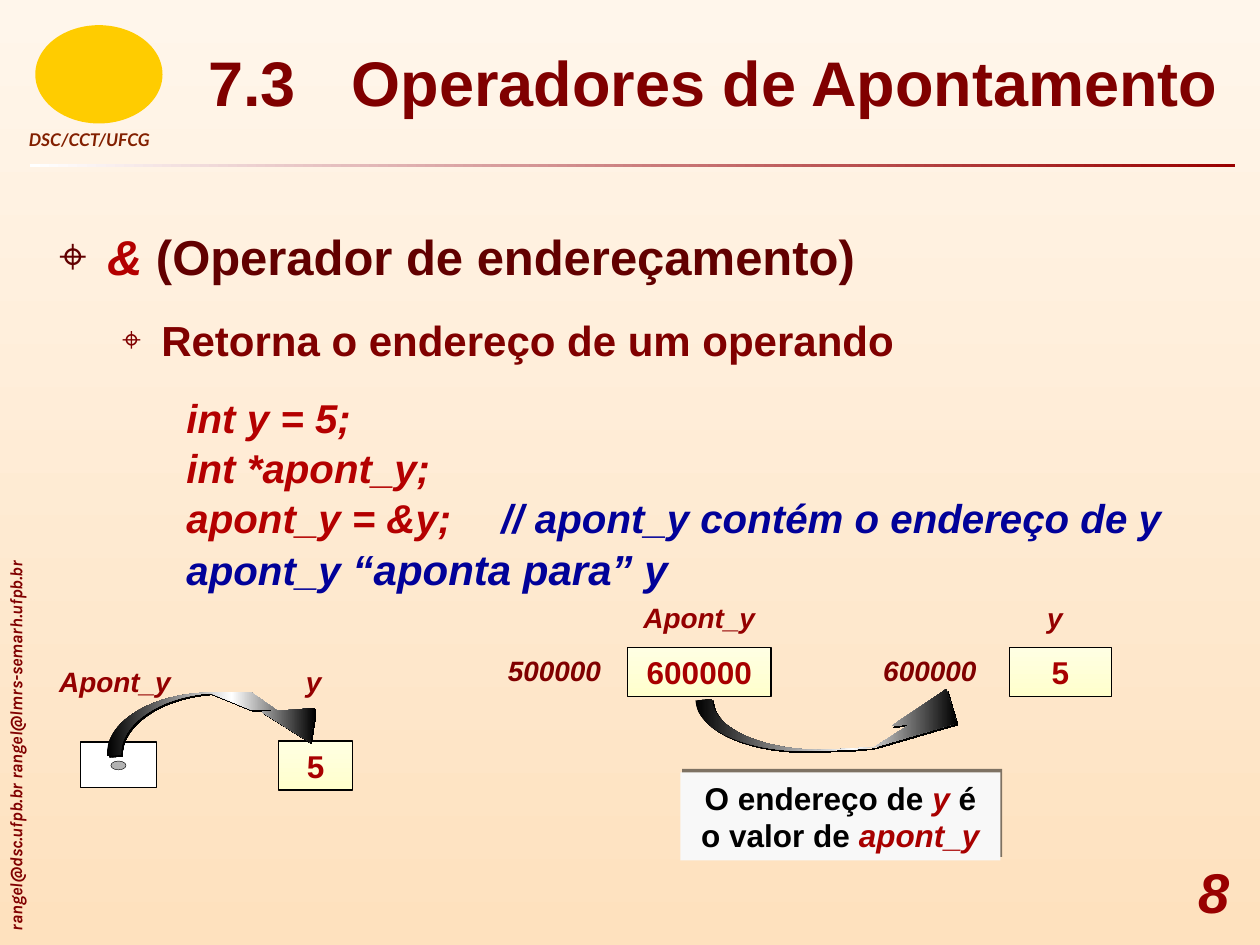
from copy import deepcopy
from dataclasses import dataclass

from pptx import Presentation
from pptx.dml.color import RGBColor
from pptx.enum.shapes import MSO_SHAPE as Preset
from pptx.enum.text import MSO_ANCHOR as Anchor, MSO_AUTO_SIZE as AutoSize, PP_ALIGN as Align
from pptx.oxml.ns import qn
from pptx.oxml.xmlchemy import OxmlElement as Element
from pptx.slide import Slide
from pptx.util import Inches, Pt

BLACK = RGBColor(0x00, 0x00, 0x00)
WHITE = RGBColor(0xFF, 0xFF, 0xFF)
CREAM = RGBColor(0xFF, 0xF6, 0xEB)
PEACH = RGBColor(0xFE, 0xE1, 0xBE)
PALE = RGBColor(0xFF, 0xFF, 0xE3)
YELLOW = RGBColor(0xFF, 0xFF, 0xCC)
GOLD = RGBColor(0xFF, 0xCC, 0x00)
SILVER = RGBColor(0xB2, 0xB2, 0xB2)
PAPER = RGBColor(0xF8, 0xF8, 0xF8)
CRIMSON = RGBColor(0x99, 0x00, 0x00)
MAROON = RGBColor(0x80, 0x00, 0x00)
DARK = RGBColor(0x62, 0x00, 0x00)
RED = RGBColor(0xB4, 0x00, 0x00)
VALUE = RGBColor(0xA8, 0x00, 0x00)
LABEL = RGBColor(0x94, 0x00, 0x00)
RUST = RGBColor(0x82, 0x1F, 0x00)
BLUE = RGBColor(0x01, 0x01, 0x99)


def cubic(start, a, b, end, steps=16):
    for i in range(1, steps + 1):
        t = i / steps
        u = 1 - t
        yield tuple(u**3 * p + 3 * u * u * t * q + 3 * u * t * t * r + t**3 * s
                    for p, q, r, s in zip(start, a, b, end))


def blend(fill, first, last, angle=270):
    fill.gradient()
    fill.gradient_angle = angle
    for stop, color, position in zip(fill.gradient_stops, (first, last), (0, 1)):
        stop.color.rgb = color
        stop.position = position


@dataclass
class Sheet:
    slide: Slide
    font: str = "Arial"

    def run(self, paragraph, words, size, color, italic=False, font=None):
        run = paragraph.add_run()
        run.text = words
        run.font.name = font or self.font
        run.font.size = Pt(size)
        run.font.bold = True
        run.font.italic = italic
        run.font.color.rgb = color

    def tabs(self, paragraph, stops):
        tab_list = Element("a:tabLst")
        for stop in stops:
            tab = Element("a:tab")
            tab.set("pos", str(Inches(stop)))
            tab.set("algn", "l")
            tab_list.append(tab)
        paragraph._p.get_or_add_pPr().append(tab_list)

    def place(self, shape, left, top, width, height):
        shape.left, shape.top = Inches(left), Inches(top)
        shape.width, shape.height = Inches(width), Inches(height)

    def title(self, words, *box):
        heading = self.slide.shapes.title
        self.place(heading, *box)
        heading.text_frame.auto_size = AutoSize.NONE
        heading.text_frame.vertical_anchor = Anchor.MIDDLE
        paragraph = heading.text_frame.paragraphs[0]
        self.tabs(paragraph, range(8))
        paragraph.alignment = Align.CENTER
        self.run(paragraph, words, 36, MAROON)

    def body(self, items, *box):
        content = self.slide.placeholders[1]
        self.place(content, *box)
        frame = content.text_frame
        frame.auto_size = AutoSize.NONE
        frame.margin_top = Inches(0.09)
        for i, (level, left, hang, before, bullet, runs) in enumerate(items):
            paragraph = frame.paragraphs[0] if i == 0 else frame.add_paragraph()
            paragraph.level = level
            props = paragraph._p.get_or_add_pPr()
            props.set("marL", str(Inches(left)))
            props.set("indent", str(-Inches(hang)))
            if bullet:
                tint = Element("a:buClr")
                rgb = Element("a:srgbClr")
                rgb.set("val", str(bullet[0]))
                tint.append(rgb)
                size = Element("a:buSzPct")
                size.set("val", str(bullet[1] * 1000))
                mark = Element("a:buChar")
                mark.set("char", "⌖")
                props.extend([tint, size, mark])
            else:
                props.append(Element("a:buNone"))
                self.tabs(paragraph, [3.64])
            paragraph.space_before = Pt(before)
            for words, *style in runs:
                self.run(paragraph, words, *style)

    def text(self, words, box, size, color, align=Align.LEFT, spacing=1.0, font=None,
             margins=(0, 0), rotation=0):
        note = self.slide.shapes.add_textbox(*map(Inches, box))
        note.rotation = rotation
        frame = note.text_frame
        frame.word_wrap = True
        frame.margin_left = frame.margin_right = Inches(margins[0])
        frame.margin_top = frame.margin_bottom = Inches(margins[1])
        paragraph = frame.paragraphs[0]
        paragraph.alignment = align
        paragraph.line_spacing = spacing
        self.run(paragraph, words, size, color, True, font)

    def shape(self, preset, box, color=None, line=None):
        figure = self.slide.shapes.add_shape(preset, *map(Inches, box))
        figure.shadow.inherit = False
        if color is not None:
            figure.fill.solid()
            figure.fill.fore_color.rgb = color
        if line:
            figure.line.color.rgb = BLACK
            figure.line.width = Pt(line)
        else:
            figure.line.fill.background()
        return figure

    def cell(self, value, *box):
        memory = self.shape(Preset.RECTANGLE, box, line=0.75)
        blend(memory.fill, PALE, YELLOW)
        frame = memory.text_frame
        frame.word_wrap = False
        frame.vertical_anchor = Anchor.MIDDLE
        frame.paragraphs[0].alignment = Align.CENTER
        self.run(frame.paragraphs[0], value, 18, VALUE)

    def callout(self, runs, *box):
        remark = self.shape(Preset.RECTANGLE, box, PAPER)
        self.shade(remark, 2.2, 296, 50)
        frame = remark.text_frame
        frame.word_wrap = True
        frame.vertical_anchor = Anchor.TOP
        frame.paragraphs[0].alignment = Align.CENTER
        for words, color, italic in runs:
            self.run(frame.paragraphs[0], words, 18, color, italic)

    def shade(self, figure, distance, angle, opacity):
        figure.shadow.inherit = False
        shadow = Element("a:outerShdw")
        shadow.set("dist", str(Pt(distance)))
        shadow.set("dir", str(angle * 60000))
        rgb = Element("a:srgbClr")
        rgb.set("val", str(BLACK))
        alpha = Element("a:alpha")
        alpha.set("val", str(opacity * 1000))
        rgb.append(alpha)
        shadow.append(rgb)
        figure._element.spPr.find(qn("a:effectLst")).append(shadow)

    def arrow(self, start, *segments):
        points = [start]
        for segment in segments:
            points += cubic(points[-1], *segment) if len(segment) == 3 else segment
        emu = [tuple(map(Inches, point)) for point in points]
        builder = self.slide.shapes.build_freeform(*emu[0])
        builder.add_line_segments(emu[1:], close=True)
        pointer = builder.convert_to_shape()
        blend(pointer.fill, BLACK, BLACK, 0)
        stops = pointer._element.spPr.find(qn("a:gradFill")).find(qn("a:gsLst"))
        stops.insert(1, deepcopy(stops[0]))
        middle = pointer.fill.gradient_stops[1]
        middle.color.rgb, middle.position = WHITE, 0.6
        pointer.line.fill.background()
        self.shade(pointer, 1.4, 45, 100)


def main():
    deck = Presentation()
    deck.slide_width, deck.slide_height = Inches(10), Inches(7.5)
    slide = deck.slides.add_slide(deck.slide_layouts[1])
    blend(slide.background.fill, CREAM, PEACH)
    sheet = Sheet(slide)

    rule = sheet.shape(Preset.RECTANGLE, (0.24, 1.3, 9.56, 0.03))
    blend(rule.fill, WHITE, CRIMSON, 0)
    sheet.text("rangel@dsc.ufpb.br rangel@lmrs-semarh.ufpb.br", (-2.21, 5.02, 4.67, 0.27),
               10, MAROON, font="Karla", margins=(0.1, 0.05), rotation=270)
    sheet.text("DSC/CCT/UFCG", (0.23, 1.02, 1.11, 0.21), 10, RUST, font="Lato")
    sheet.shape(Preset.OVAL, (0.28, 0.2, 1.01, 0.78), GOLD)
    sheet.text("8", (9.01, 6.81, 0.75, 0.53), 32, CRIMSON, Align.RIGHT)

    sheet.title("7.3\t Operadores de Apontamento", 1.32, 0, 8.68, 1.29)
    code = (2, 1.01, 0)
    sheet.body([
        (0, 0.38, 0.38, 0, (DARK, 100),
         [("&", 28, RED, True), (" (Operador de endereçamento)", 28, DARK)]),
        (1, 0.81, 0.31, 16.4, (MAROON, 80), [("Retorna o endereço de um operando", 24, MAROON)]),
        (*code, 16.4, None, [("int y = 5;", 23, RED, True)]),
        (*code, 1, None, [("int *apont_y;", 23, RED, True)]),
        (*code, 1, None, [("apont_y = &y;\t", 23, RED, True),
                          ("// apont_y contém o endereço de y", 23, BLUE, True)]),
        (*code, 1, None, [("apont_y", 23, BLUE, True), (" “aponta para” y", 24, BLUE, True)]),
    ], 0.37, 1.71, 9.27, 4.72)

    sheet.shape(Preset.RECTANGLE, (0.64, 5.89, 0.6, 0.36), WHITE, 0.75)
    sheet.shape(Preset.OVAL, (0.88, 6.04, 0.12, 0.07), SILVER, 0.25)
    for words, box, color, align, spacing in [
        ("Apont_y", (0.47, 5.34, 0.93, 0.24), LABEL, Align.LEFT, 0.72),
        ("y", (2.39, 5.34, 0.2, 0.21), LABEL, Align.CENTER, 0.72),
        ("Apont_y", (5.02, 4.82, 1.06, 0.24), LABEL, Align.CENTER, 0.8),
        ("y", (8.31, 4.82, 0.18, 0.24), LABEL, Align.LEFT, 0.8),
        ("500000", (4.03, 5.24, 0.82, 0.21), MAROON, Align.LEFT, 0.8),
        ("600000", (7.01, 5.24, 0.82, 0.21), MAROON, Align.LEFT, 0.8),
    ]:
        sheet.text(words, box, 16, color, align, spacing)
    sheet.callout([("O endereço de ", BLACK, False), ("y ", VALUE, True),
                   ("é o valor de ", BLACK, False), ("apont_y", VALUE, True)],
                  5.4, 6.13, 2.54, 0.7)
    sheet.cell("5", 2.21, 5.88, 0.59, 0.39)
    sheet.cell("600000", 4.98, 5.14, 1.14, 0.39)
    sheet.cell("5", 8.01, 5.14, 0.81, 0.39)

    sheet.arrow((0.85, 6), [(0.83, 5.75), (1.16, 5.53), (1.58, 5.5)], [(1.76, 5.49)],
                [(1.84, 5.49), (1.92, 5.49), (2, 5.5)],
                [(2.2, 5.64), (2.08, 5.65)], [(2.46, 5.89)], [(2.5, 5.62)], [(2.08, 5.65)],
                [(2.2, 5.64)], [(2.13, 5.63), (2.06, 5.63), (1.99, 5.63)], [(1.67, 5.5)],
                [(1.26, 5.53), (0.95, 5.75), (0.96, 5.99)])
    sheet.arrow((5.52, 5.56), [(5.53, 5.8), (5.96, 5.98), (6.48, 5.96)], [(6.7, 5.95)],
                [(6.78, 5.95), (6.86, 5.94), (6.94, 5.93)], [(7.22, 5.75)], [(7.08, 5.76)],
                [(7.51, 5.47)], [(7.59, 5.74)], [(6.94, 5.93)], [(6.59, 5.95)],
                [(6.08, 5.97), (5.66, 5.79), (5.65, 5.55)])
    deck.save("out.pptx")


if __name__ == "__main__":
    main()
